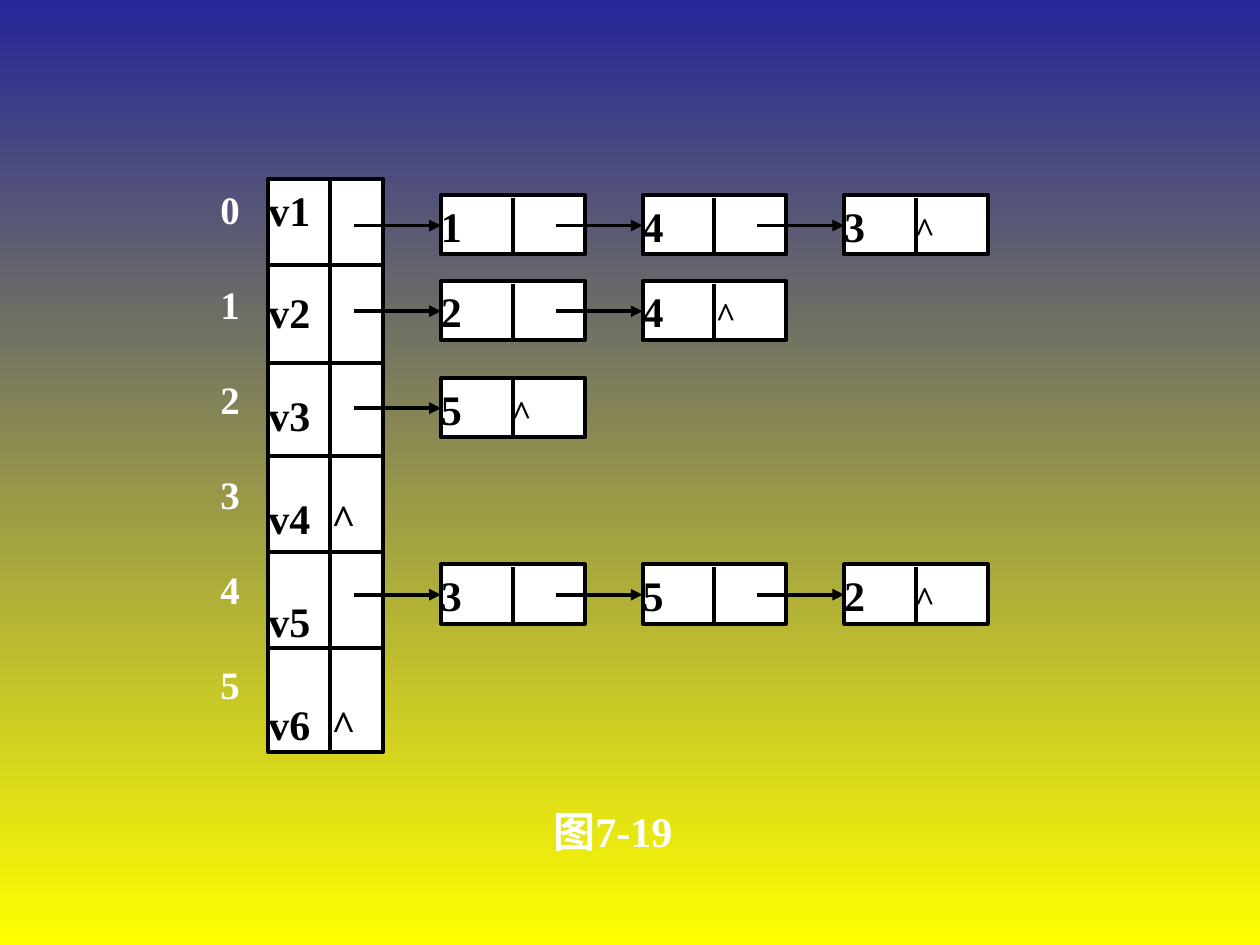
from dataclasses import dataclass

import pptx
import pptx.dml.color
import pptx.enum.shapes
import pptx.enum.text
import pptx.oxml.ns
import pptx.util
from lxml import etree

Inches = pptx.util.Inches
Align = pptx.enum.text.PP_ALIGN


@dataclass(frozen=True)
class Theme:
    font: str = "Times New Roman"
    sky: str = "262699"
    sun: str = "FFFF00"
    ink: str = "000000"
    paper: str = "FFFFFF"
    text: float = 24
    label: float = 22.2
    caret: float = 20
    line: float = 2.25


@dataclass(frozen=True)
class Chain:
    top: float
    keys: str
    tab: float = 0.56


THEME = Theme()
LEFT, TOP, WIDE, TALL = 2.13, 1.42, 0.91, 4.55
SPLIT = 2.62
RULES = (2.1, 2.88, 3.62, 4.38, 5.14)
HEADS = ("v1", "v2", "v3", "v4\t^", "v5", "v6\t^")
CHAINS = (
    Chain(1.55, "143"),
    Chain(2.23, "24", 0.58),
    Chain(3.0, "5"),
    Chain(4.48, "352"),
)
FIRST, STEP = 3.5, 1.6
NODE_W, NODE_H = 1.14, 0.47
REACH = 0.69


def tint(code: str) -> pptx.dml.color.RGBColor:
    return pptx.dml.color.RGBColor.from_string(code)


def add_tag(host, tag: str, **marks: str):
    return etree.SubElement(host, pptx.oxml.ns.qn(tag), **marks)


def write(shape, lines, *, size=THEME.text, color=THEME.ink, caret=THEME.text,
          align=Align.JUSTIFY, gap=0.0, tab=0.0) -> None:
    frame = shape.text_frame
    frame.word_wrap = True
    frame.vertical_anchor = pptx.enum.text.MSO_ANCHOR.TOP
    frame.margin_left = frame.margin_right = frame.margin_bottom = 0
    frame.margin_top = Inches(0.04)
    for i, line in enumerate(lines):
        para = frame.add_paragraph() if i else frame.paragraphs[0]
        para.alignment = align
        if i:
            para.space_before = pptx.util.Pt(gap)
        if tab:
            stops = add_tag(para._p.get_or_add_pPr(), "a:tabLst")
            add_tag(stops, "a:tab", pos=str(Inches(tab)), algn="l")
        key, mark, end = line.partition("\t")
        for part, points in ((key + mark, size), (end, caret)):
            if part:
                run = para.add_run()
                run.text = part
                run.font.name = THEME.font
                run.font.size = pptx.util.Pt(points)
                run.font.bold = True
                run.font.color.rgb = tint(color)


def add_box(slide, x: float, y: float, w: float, h: float):
    box = slide.shapes.add_shape(
        pptx.enum.shapes.MSO_SHAPE.RECTANGLE,
        Inches(x), Inches(y), Inches(w), Inches(h))
    box.shadow.inherit = False
    box.fill.solid()
    box.fill.fore_color.rgb = tint(THEME.paper)
    box.line.color.rgb = tint(THEME.ink)
    box.line.width = pptx.util.Pt(THEME.line)
    return box


def add_line(slide, x: float, y: float, to_x: float, to_y: float,
             arrow: bool = False) -> None:
    line = slide.shapes.add_connector(
        pptx.enum.shapes.MSO_CONNECTOR.STRAIGHT,
        Inches(x), Inches(y), Inches(to_x), Inches(to_y))
    line.line.color.rgb = tint(THEME.ink)
    line.line.width = pptx.util.Pt(THEME.line)
    if arrow:
        add_tag(line.line._get_or_add_ln(), "a:tailEnd", type="triangle")
    add_tag(line._element.spPr, "a:effectLst")


def add_text(slide, x: float, y: float, w: float, h: float, lines,
             **form) -> None:
    box = slide.shapes.add_textbox(Inches(x), Inches(y), Inches(w), Inches(h))
    write(box, lines, color=THEME.paper, **form)


def add_heads(slide) -> None:
    box = add_box(slide, LEFT, TOP, WIDE, TALL)
    write(box, HEADS, gap=30, tab=0.5)
    add_line(slide, SPLIT, TOP, SPLIT, TOP + TALL)
    for y in RULES:
        add_line(slide, LEFT, y, LEFT + WIDE, y)
    add_text(slide, 1.75, 1.43, 0.46, 4.34, [str(i) for i in range(len(HEADS))],
             size=THEME.label, gap=27.7)


def add_chain(slide, chain: Chain) -> None:
    last = len(chain.keys) - 1
    for i, key in enumerate(chain.keys):
        x = FIRST + i * STEP
        box = add_box(slide, x, chain.top, NODE_W, NODE_H)
        write(box, [key + "\t^" if i == last else key],
              caret=THEME.caret, tab=chain.tab)
        mid = x + NODE_W / 2
        add_line(slide, mid, chain.top + 0.02, mid, chain.top + 0.46)
        y = chain.top + 0.24
        add_line(slide, x - REACH, y, x, y, arrow=True)


def paint(slide) -> None:
    fill = slide.background.fill
    fill.gradient()
    fill.gradient_angle = 270
    for stop, code, place in zip(fill.gradient_stops,
                                 (THEME.sky, THEME.sun), (0, 1)):
        stop.color.rgb = tint(code)
        stop.position = place


def main() -> None:
    deck = pptx.Presentation()
    deck.slide_width, deck.slide_height = Inches(10), Inches(7.5)
    slide = deck.slides.add_slide(deck.slide_layouts[6])
    paint(slide)
    add_heads(slide)
    for chain in CHAINS:
        add_chain(slide, chain)
    add_text(slide, 4.18, 6.35, 1.37, 0.57, ["图7-19"], align=Align.CENTER)
    deck.save("out.pptx")


if __name__ == "__main__":
    main()
